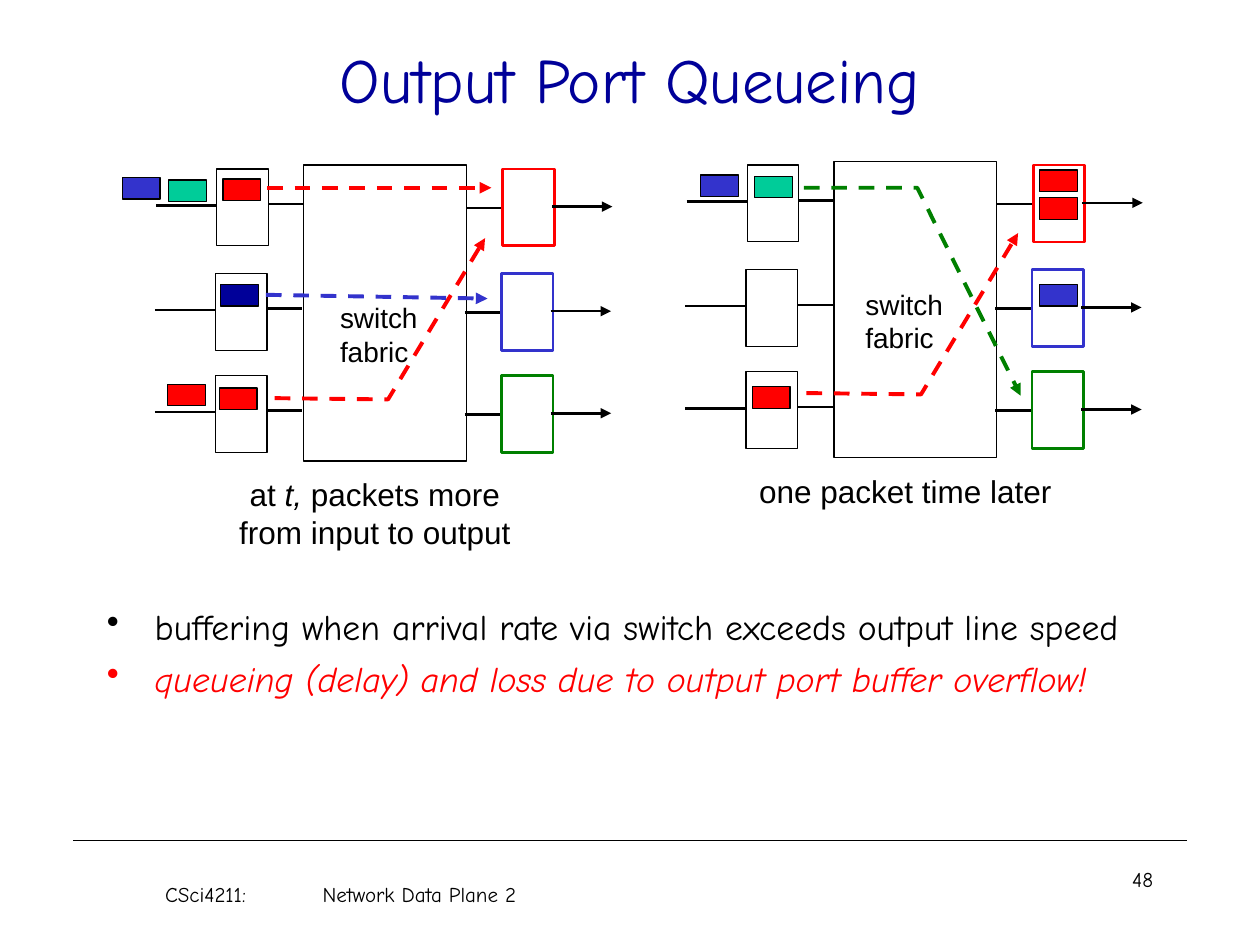
from dataclasses import dataclass

from lxml.etree import SubElement
from pptx import Presentation
from pptx.dml.color import RGBColor as Color
from pptx.enum.dml import MSO_LINE
from pptx.enum.shapes import MSO_CONNECTOR, MSO_SHAPE
from pptx.enum.text import MSO_ANCHOR as Anchor, PP_ALIGN as Align
from pptx.oxml.ns import qn
from pptx.util import Inches, Pt

COLUMNS, ROWS = 100, 75  # the page grid: ten cells to the inch
CELL = Inches(0.1)


@dataclass(frozen=True)
class Theme:
    black: str = "000000"
    white: str = "FFFFFF"
    navy: str = "000099"
    blue: str = "3333CC"
    red: str = "FF0000"
    green: str = "008000"
    teal: str = "00CC99"
    hand: str = "Comic Neue"
    sans: str = "Arial"
    title: float = 36
    body: float = 20.4
    caption: float = 18
    label: float = 16
    footer: float = 12
    thin: float = 0.75
    medium: float = 1.5
    thick: float = 2.25


THEME = Theme()


def cells(*lengths):
    return [round(length * CELL) for length in lengths]


def style_line(shape, color, width, dashed=False, arrow=False):
    shape.line.color.rgb = Color.from_string(color)
    shape.line.width = Pt(width)
    if dashed:
        shape.line.dash_style = MSO_LINE.DASH
    if arrow:
        SubElement(shape.line._get_or_add_ln(), qn("a:tailEnd"), type="triangle")


def add_rect(page, box, fill, line, width):
    rect = page.shapes.add_shape(MSO_SHAPE.RECTANGLE, *cells(*box))
    rect.shadow.inherit = False
    rect.fill.solid()
    rect.fill.fore_color.rgb = Color.from_string(fill)
    style_line(rect, line, width)


def add_line(page, start, end, color=THEME.black, width=THEME.medium, **style):
    line = page.shapes.add_connector(MSO_CONNECTOR.STRAIGHT, *cells(*start, *end))
    SubElement(line._element.spPr, qn("a:effectLst"))
    style_line(line, color, width, **style)


def add_route(page, points, color):
    """Draw a dashed arrow through two or more points."""
    if len(points) == 2:
        add_line(page, *points, color, THEME.thick, dashed=True, arrow=True)
        return
    corners = [cells(*point) for point in points]
    builder = page.shapes.build_freeform(*corners[0])
    builder.add_line_segments(corners[1:], close=False)
    route = builder.convert_to_shape()
    route.shadow.inherit = False
    route.fill.background()
    style_line(route, color, THEME.thick, dashed=True, arrow=True)


def add_text(page, box, lines, size, font=THEME.sans, color=THEME.black,
             align=Align.LEFT, wrap=True):
    frame = page.shapes.add_textbox(*cells(*box)).text_frame
    frame.word_wrap = wrap
    frame.text = "\n".join(lines)
    for para in frame.paragraphs:
        para.alignment = align
        for span in para.runs:
            style_span(span, size, font, color)
    return frame


def style_span(span, size, font, color, italic=False):
    span.font.size = Pt(size)
    span.font.name = font
    span.font.color.rgb = Color.from_string(color)
    span.font.italic = italic


def add_title(page, box):
    frame = add_text(page, box, ["Output Port Queueing"], THEME.title,
                     THEME.hand, THEME.navy, Align.CENTER)
    frame.vertical_anchor = Anchor.MIDDLE


def add_switch(page, left, top, packets, routes, label_at):
    """Draw one switch; packets, routes and label are placed from its corner."""
    def at(x, y):
        return left + x, top + y

    fabric_x, fabric_width = 11.8, 12.9
    port_width, port_height = 4.1, 6.1
    add_rect(page, (*at(fabric_x, 0), fabric_width, 23.5),
             THEME.white, THEME.black, THEME.thin)
    rows = zip((0.3, 8.6, 16.7), (0.1, 0, 0), (THEME.red, THEME.blue, THEME.green))
    for y, shift, color in rows:
        add_rect(page, (*at(4.8 + shift, y), port_width, port_height),
                 THEME.white, THEME.black, THEME.thin)
        add_rect(page, (*at(27.5 + shift, y), port_width, port_height),
                 THEME.white, color, THEME.medium)
        wires = ((0, 4.8, 2.9), (8.9, 11.7, 2.8), (24.6, 27.4, 3.1), (31.4, 36.2, 3))
        for start, end, drop in wires:
            add_line(page, at(start + shift, y + drop), at(end + shift, y + drop),
                     arrow=start > 30)
    for x, y, color in packets:
        add_rect(page, (*at(x, y), 3, 1.7), color, THEME.black, THEME.thin)
    for color, points in routes:
        add_route(page, [at(*point) for point in points], color)
    add_text(page, (*at(*label_at), 8.2, 6.4), ["switch", "fabric"],
             THEME.label, wrap=False)


def add_caption(page, box, lines):
    return add_text(page, box, lines, THEME.caption, align=Align.CENTER)


def add_first_caption(page, box):
    frame = add_caption(page, box, ["", "from input to output"])
    para = frame.paragraphs[0]
    for text, italic in (("at ", False), ("t,", True), (" packets more", False)):
        span = para.add_run()
        span.text = text
        style_span(span, THEME.caption, THEME.sans, THEME.black, italic)


def add_bullets(page, box):
    lines = ["buffering when arrival rate via switch exceeds output line speed",
             "queueing (delay) and loss due to output port buffer overflow!"]
    frame = add_text(page, box, lines, THEME.body, THEME.hand)
    hanging = Inches(0.38)
    for para in frame.paragraphs:
        properties = para._p.get_or_add_pPr()
        properties.set("marL", str(hanging))
        properties.set("indent", str(-hanging))
        SubElement(properties, qn("a:buChar"), char="•")
    warning = frame.paragraphs[1]
    warning.space_before = Pt(5)
    style_span(warning.runs[0], THEME.body, THEME.hand, THEME.red, italic=True)


def add_footer(page):
    margin = 5.8
    add_line(page, (margin, 66.7), (COLUMNS - margin, 66.7), width=THEME.thin)
    add_text(page, (71.7, 68.3, 20.8, 5), ["48"], THEME.footer, THEME.hand,
             align=Align.RIGHT)
    frame = add_text(page, (7.5, 69.5, 39.2, 3.3),
                     ["CSci4211:\tNetwork Data Plane 2"], THEME.footer, THEME.hand)
    frame.margin_left = Inches(0.56)
    properties = frame.paragraphs[0]._p.get_or_add_pPr()
    tabs = SubElement(properties, qn("a:tabLst"))
    SubElement(tabs, qn("a:tab"), pos=str(Inches(1.25)), algn="l")


def main():
    deck = Presentation()
    deck.slide_width, deck.slide_height = cells(COLUMNS, ROWS)
    page = deck.slides.add_slide(deck.slide_layouts[6])
    red, blue, teal = THEME.red, THEME.blue, THEME.teal
    add_title(page, (7.5, 0, 85, 12.5))
    add_switch(
        page, 12.3, 13.1,
        packets=[(5.4, 1.1, red), (5.2, 9.5, THEME.navy), (5.1, 17.7, red),
                 (1.1, 1.2, teal), (1, 17.4, red), (-2.6, 1, blue)],
        routes=[(red, [(8.9, 1.8), (26.7, 1.8)]),
                (red, [(9.5, 18.5), (18.5, 18.6), (26.2, 5.8)]),
                (blue, [(8.8, 10.3), (26.4, 10.6)])],
        label_at=(13.7, 10.3))
    add_switch(
        page, 54.4, 12.8,
        packets=[(28.1, 0.7, red), (28.1, 2.9, red), (28.1, 9.8, blue),
                 (5.5, 1.2, teal), (5.3, 17.9, red), (1.2, 1.1, blue)],
        routes=[(red, [(9.6, 18.4), (18.7, 18.5), (26.4, 5.7)]),
                (THEME.green, [(9.4, 2.1), (18.4, 2.1), (26.6, 18.6)])],
        label_at=(13.3, 9.5))
    add_first_caption(page, (16.3, 37.2, 26.9, 7))
    add_caption(page, (58.4, 37, 26.9, 4), ["one packet time later"])
    add_bullets(page, (7.5, 47.5, 85, 11.1))
    add_footer(page)
    deck.save("out.pptx")


if __name__ == "__main__":
    main()
